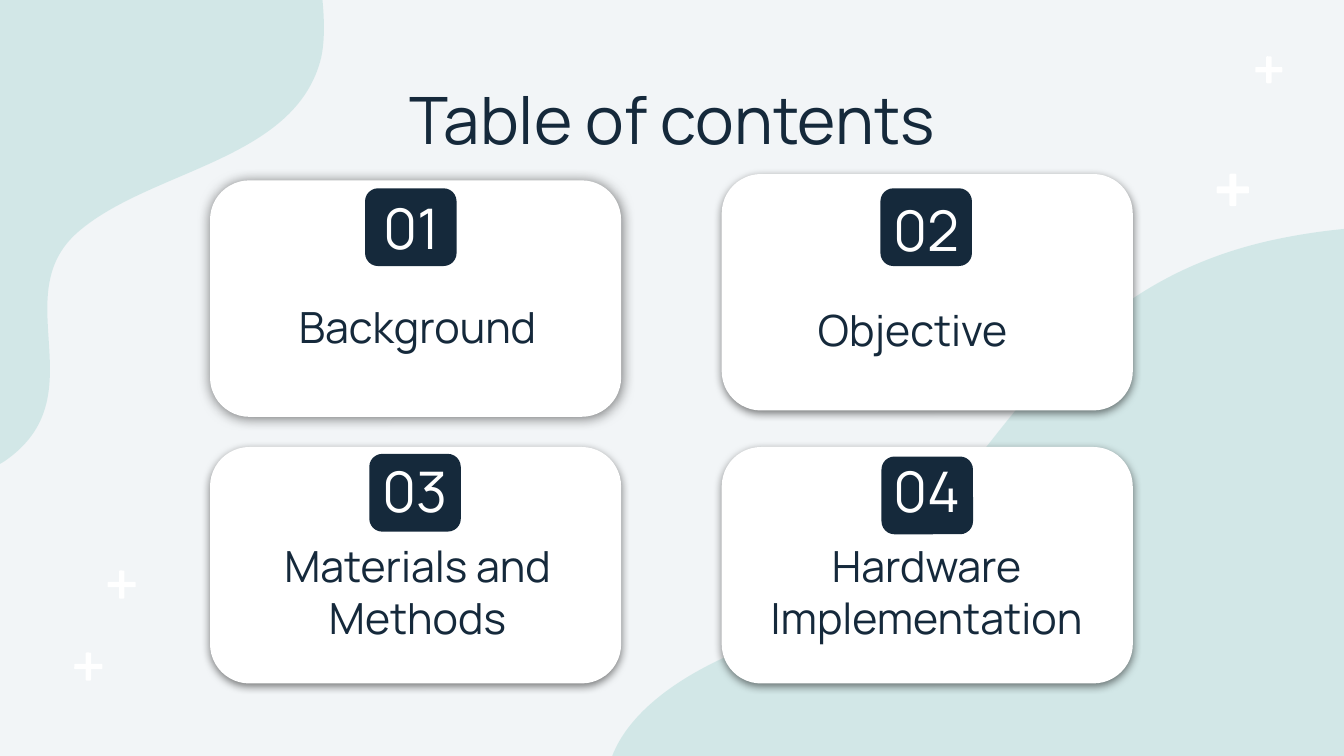
import math
from dataclasses import dataclass

from lxml import etree
from pptx import Presentation
from pptx import util as u
from pptx.dml.color import RGBColor
from pptx.enum import shapes, text
from pptx.oxml import ns

FONT = "Manrope"
NAVY, WHITE, TEAL, PALE = "15293B", "FFFFFF", "4DAEA7", "F2F5F7"
CARD_WIDTH, CARD_HEIGHT = 7.77, 4.47
LEFT_COLUMN, RIGHT_COLUMN = 3.97, 13.64
SOFT_SHADOW = ("000000", 50, 4.5, 1.5, 90)

# Each blob is a start point followed by cubic curves, in centimetres on the slide.
RIGHT_BLOB = [
    (32.39, 7.14),
    (32.03, 5.18), (28.14, 3.63), (24, 4.55),
    (18.82, 5.72), (18.69, 10.52), (14.27, 12.19),
    (12.17, 12.98), (11.33, 14.12), (11.48, 15.06),
    (11.68, 16.13), (13.23, 16.89), (15.8, 16.54),
    (21.18, 15.8), (24.16, 19.48), (27.41, 17.98),
    (30.96, 16.36), (25.63, 13.21), (31.09, 9.4),
    (32.13, 8.66), (32.51, 7.87), (32.39, 7.14),
]
LEFT_BLOB = [
    (4.93, -3.23),
    (4.5, -3.76), (3.94, -4.09), (3.25, -3.99),
    (1.07, -3.63), (-0.69, -1.5), (-1.6, 0.13),
    (-2.51, 1.73), (-5.44, 0.1), (-6.68, 3.96),
    (-7.06, 5.13), (-6.76, 6.12), (-6.12, 6.91),
    (-4.6, 8.79), (-1.14, 9.55), (0.1, 8.71),
    (1.85, 7.49), (0.1, 5.59), (1.47, 4.39),
    (2.84, 3.2), (5.59, 3.05), (6.07, 1.09),
    (6.27, 0.2), (5.89, -2.03), (4.93, -3.23),
]
# Centre x, centre y, length and thickness of each plus sign.
PLUSES = [
    (1.67, 12.6, 0.53, 0.1),
    (23.3, 3.59, 0.61, 0.13),
    (2.3, 11.05, 0.53, 0.1),
    (23.98, 1.32, 0.51, 0.1),
]


@dataclass
class Entry:
    """One card; badge, number and label places are relative to its corner."""
    number: str
    label: str
    left: float
    top: float
    badge: tuple
    number_top: float
    label_box: tuple
    number_width: float = 1.85
    indent: float = 0
    shadow: tuple = SOFT_SHADOW


ENTRIES = [
    Entry("01", "Background", LEFT_COLUMN, 3.41, (2.93, 0.15), 0.29, (0, 2.37, 1.12),
          number_width=1.7, shadow=("191919", 57, 6.8, 0.8, 74)),
    Entry("02", "Objective", RIGHT_COLUMN, 3.29, (3, 0.27), 0.45, (0.3, 2.38, 1.3),
          indent=1.27),
    Entry("03", "Materials and Methods", LEFT_COLUMN, 8.45, (3.01, 0.13), 0.22,
          (0, 2.88, 1.07)),
    Entry("04", "Hardware Implementation", RIGHT_COLUMN, 8.45, (3.02, 0.18), 0.22,
          (-0.05, 2.88, 1.07)),
]


def color(value):
    return RGBColor.from_string(value)


def paint(shape, value, alpha=100):
    """Give a plain fill without line or shadow."""
    shape.shadow.inherit = False
    shape.line.fill.background()
    shape.fill.solid()
    shape.fill.fore_color.rgb = color(value)
    if alpha < 100:
        fill = shape._element.spPr.find(".//" + ns.qn("a:srgbClr"))
        etree.SubElement(fill, ns.qn("a:alpha"), val=str(alpha * 1000))


def cast_shadow(shape, value, alpha, blur, distance, angle):
    effects = shape._element.spPr.find(ns.qn("a:effectLst"))
    shadow = etree.SubElement(
        effects, ns.qn("a:outerShdw"), blurRad=str(u.Pt(blur)),
        dist=str(u.Pt(distance)), dir=str(angle * 60000), algn="bl", rotWithShape="0")
    tint = etree.SubElement(shadow, ns.qn("a:srgbClr"), val=value)
    etree.SubElement(tint, ns.qn("a:alpha"), val=str(alpha * 1000))


def add_round_box(slide, left, top, width, height, value):
    shape = slide.shapes.add_shape(
        shapes.MSO_SHAPE.ROUNDED_RECTANGLE,
        u.Cm(left), u.Cm(top), u.Cm(width), u.Cm(height))
    paint(shape, value)
    return shape


def write(shape, words, size, value, anchor):
    """Put one centred run into a shape and return its paragraph."""
    frame = shape.text_frame
    frame.word_wrap = True
    frame.auto_size = text.MSO_AUTO_SIZE.NONE
    frame.vertical_anchor = anchor
    frame.margin_left = frame.margin_right = u.Cm(0.25)
    frame.margin_top = frame.margin_bottom = u.Cm(0.25)
    paragraph = frame.paragraphs[0]
    paragraph.alignment = text.PP_ALIGN.CENTER
    run = paragraph.add_run()
    run.text = words
    run.font.name = FONT
    run.font.size = u.Pt(size)
    run.font.color.rgb = color(value)
    return paragraph


def add_text(slide, left, top, width, height, words, size, value, anchor):
    box = slide.shapes.add_textbox(u.Cm(left), u.Cm(top), u.Cm(width), u.Cm(height))
    return write(box, words, size, value, anchor)


def add_blob(slide, points, left, top, width, height, angle):
    """Draw curves through slide points inside a box turned by angle."""
    right, bottom = left + width, top + height
    builder = slide.shapes.build_freeform(u.Cm(left), u.Cm(top))
    builder.add_line_segments([(u.Cm(x), u.Cm(y)) for x, y in
                               ((right, top), (right, bottom), (left, bottom))])
    blob = builder.convert_to_shape()
    blob.rotation = angle
    paint(blob, TEAL, alpha=19)

    cosine, sine = math.cos(math.radians(angle)), math.sin(math.radians(angle))
    outline = blob._element.spPr.find(".//" + ns.qn("a:path"))
    for segment in list(outline):
        outline.remove(segment)
    for index, (x, y) in enumerate(points):
        if index == 0:
            segment = etree.SubElement(outline, ns.qn("a:moveTo"))
        elif index % 3 == 1:
            segment = etree.SubElement(outline, ns.qn("a:cubicBezTo"))
        dx, dy = x - left - width / 2, y - top - height / 2
        etree.SubElement(segment, ns.qn("a:pt"),
                         x=str(u.Cm(width / 2 + dx * cosine + dy * sine)),
                         y=str(u.Cm(height / 2 - dx * sine + dy * cosine)))
    etree.SubElement(outline, ns.qn("a:close"))


def add_plus(slide, x, y, length, thickness):
    for angle in (90, 0):
        bar = add_round_box(slide, x - length / 2, y - thickness / 2,
                            length, thickness, WHITE)
        bar.rotation = angle


def add_card(slide, entry):
    left, top = entry.left, entry.top
    card = add_round_box(slide, left, top, CARD_WIDTH, CARD_HEIGHT, WHITE)
    cast_shadow(card, *entry.shadow)
    badge_x, badge_y = entry.badge
    add_round_box(slide, left + badge_x, top + badge_y, 1.73, 1.47, NAVY)
    add_text(slide, left + 2.95, top + entry.number_top, entry.number_width, 1.19,
             entry.number, 30, WHITE, text.MSO_ANCHOR.MIDDLE)
    label_x, label_y, label_height = entry.label_box
    label = add_text(slide, left + label_x, top + label_y, 7.85, label_height,
                     entry.label, 23, NAVY, text.MSO_ANCHOR.BOTTOM)
    if entry.indent:
        label.alignment = text.PP_ALIGN.LEFT
        label._p.get_or_add_pPr().set("indent", str(u.Cm(entry.indent)))


def place_title(slide, left, top, width, height):
    title = slide.shapes.title
    title.left, title.top = u.Cm(left), u.Cm(top)
    title.width, title.height = u.Cm(width), u.Cm(height)
    write(title, "Table of contents", 35, NAVY, text.MSO_ANCHOR.TOP)


def build_contents_slide(presentation):
    slide = presentation.slides.add_slide(presentation.slide_layouts[5])
    slide.background.fill.solid()
    slide.background.fill.fore_color.rgb = color(PALE)
    add_blob(slide, RIGHT_BLOB, 14.71, 1.3, 14.86, 21.97, 79.6)
    add_blob(slide, LEFT_BLOB, -5.31, -5.05, 10.36, 14.96, 50.9)
    for plus in PLUSES:
        add_plus(slide, *plus)
    for entry in ENTRIES:
        add_card(slide, entry)
    place_title(slide, 2, 1.24, 21.41, 1.6)


def main():
    presentation = Presentation()
    presentation.slide_width, presentation.slide_height = u.Cm(25.4), u.Cm(14.29)
    build_contents_slide(presentation)
    presentation.save("out.pptx")


if __name__ == "__main__":
    main()
